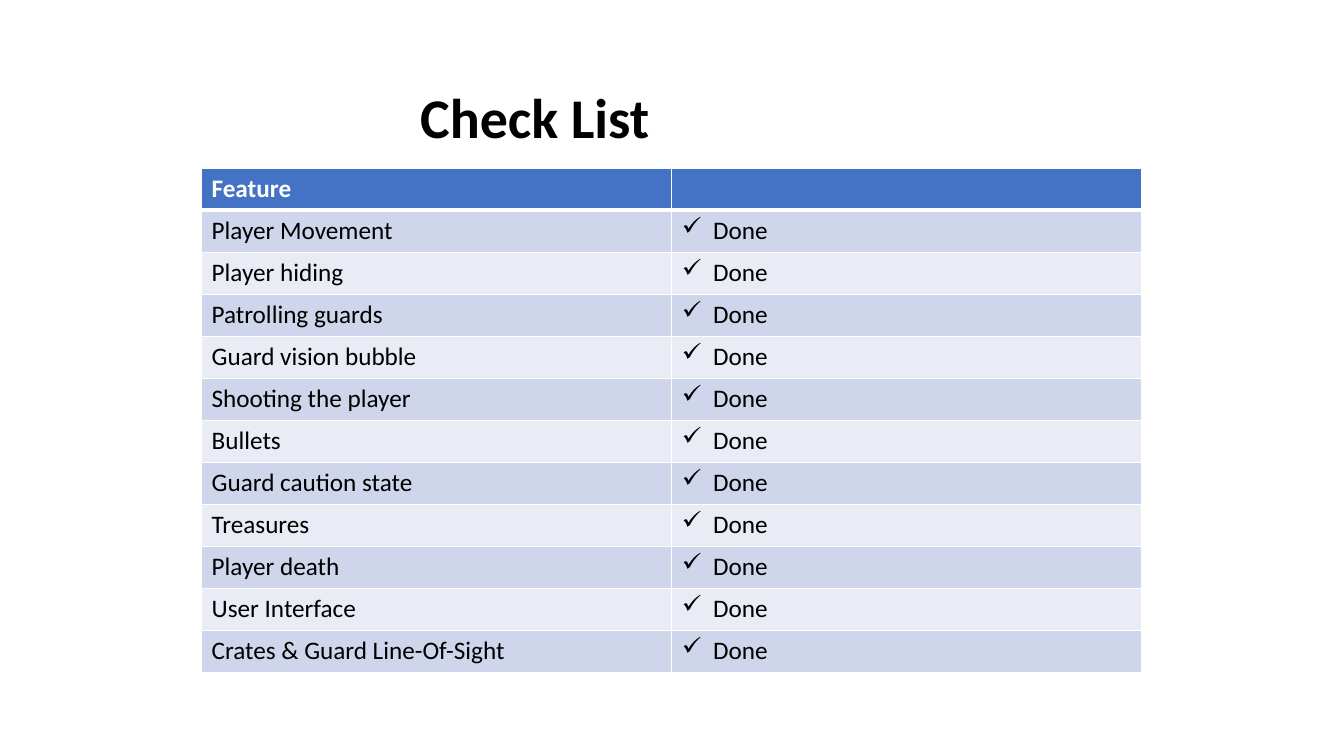
from dataclasses import dataclass

import lxml.etree
import pptx
import pptx.dml.color
import pptx.enum.text
import pptx.oxml.ns
import pptx.util

Cm = pptx.util.Cm
Pt = pptx.util.Pt
qn = pptx.oxml.ns.qn

WHITE, BLACK = "FFFFFF", "000000"
HEADER_FILL = "4472C4"
BAND_FILLS = ("CFD5EA", "E9EBF5")
TABLE_HEIGHT = 12.7
BULLET_INDENT = Cm(0.79)
FEATURES = (
    "Player Movement",
    "Player hiding",
    "Patrolling guards",
    "Guard vision bubble",
    "Shooting the player",
    "Bullets",
    "Guard caution state",
    "Treasures",
    "Player death",
    "User Interface",
    "Crates & Guard Line-Of-Sight",
)


@dataclass(frozen=True)
class ChecklistCell:
    text: str
    fill: str
    color: str = BLACK
    bold: bool = False
    checked: bool = False
    top_border: float = 1
    bottom_border: float = 1


def rgb(value: str) -> pptx.dml.color.RGBColor:
    return pptx.dml.color.RGBColor.from_string(value)


def apply_format(target, values: dict) -> None:
    for name, value in values.items():
        setattr(target, name, value)


def write_text(paragraph, text: str, size: float, color: str, bold: bool) -> None:
    run = paragraph.add_run()
    run.text = text
    apply_format(run.font, {"name": "Calibri", "size": Pt(size), "bold": bold})
    run.font.color.rgb = rgb(color)


def add_border(cell, side: str, width: float) -> None:
    properties = cell._tc.get_or_add_tcPr()
    line = lxml.etree.SubElement(properties, qn(f"a:ln{side}"), w=str(Pt(width)))
    fill = lxml.etree.SubElement(line, qn("a:solidFill"))
    lxml.etree.SubElement(fill, qn("a:srgbClr"), val=WHITE)


def add_check_bullet(paragraph) -> None:
    properties = paragraph._p.get_or_add_pPr()
    properties.set("marL", str(BULLET_INDENT))
    properties.set("indent", str(-BULLET_INDENT))
    lxml.etree.SubElement(properties, qn("a:buChar"), char="✓")


def draw_cell(cell, content: ChecklistCell) -> None:
    borders = {"L": 1, "R": 1, "T": content.top_border, "B": content.bottom_border}
    for side, width in borders.items():
        add_border(cell, side, width)
    cell.fill.solid()
    cell.fill.fore_color.rgb = rgb(content.fill)
    paragraph = cell.text_frame.paragraphs[0]
    if content.checked:
        add_check_bullet(paragraph)
    if content.text:
        write_text(paragraph, content.text, 18, content.color, content.bold)


def checklist_rows() -> list[tuple[ChecklistCell, ...]]:
    rows = [tuple(
        ChecklistCell(text, HEADER_FILL, WHITE, bold=True, bottom_border=3)
        for text in ("Feature", "")
    )]
    for index, feature in enumerate(FEATURES):
        fill = BAND_FILLS[index % 2]
        top = 3 if index == 0 else 1
        rows.append((
            ChecklistCell(feature, fill, top_border=top),
            ChecklistCell("Done", fill, checked=True, top_border=top),
        ))
    return rows


def add_checklist(slide) -> None:
    rows = checklist_rows()
    frame = slide.shapes.add_table(
        len(rows), 2, Cm(5.08), Cm(4.24), Cm(23.7), Cm(TABLE_HEIGHT)
    )
    table = frame.table
    apply_format(table, {"first_row": False, "horz_banding": False})
    for row_index, row in enumerate(rows):
        table.rows[row_index].height = Cm(TABLE_HEIGHT / len(rows))
        for column_index, content in enumerate(row):
            draw_cell(table.cell(row_index, column_index), content)


def add_title(slide) -> None:
    shape = slide.shapes.add_textbox(Cm(10.34), Cm(1.96), Cm(11.58), Cm(1.96))
    frame = shape.text_frame
    apply_format(frame, {
        "word_wrap": True,
        "auto_size": pptx.enum.text.MSO_AUTO_SIZE.SHAPE_TO_FIT_TEXT,
    })
    write_text(frame.paragraphs[0], "Check List", 40, BLACK, True)


presentation = pptx.Presentation()
apply_format(presentation, {"slide_width": Cm(33.87), "slide_height": Cm(19.05)})
slide = presentation.slides.add_slide(presentation.slide_layouts[6])
add_checklist(slide)
add_title(slide)
presentation.save("out.pptx")
